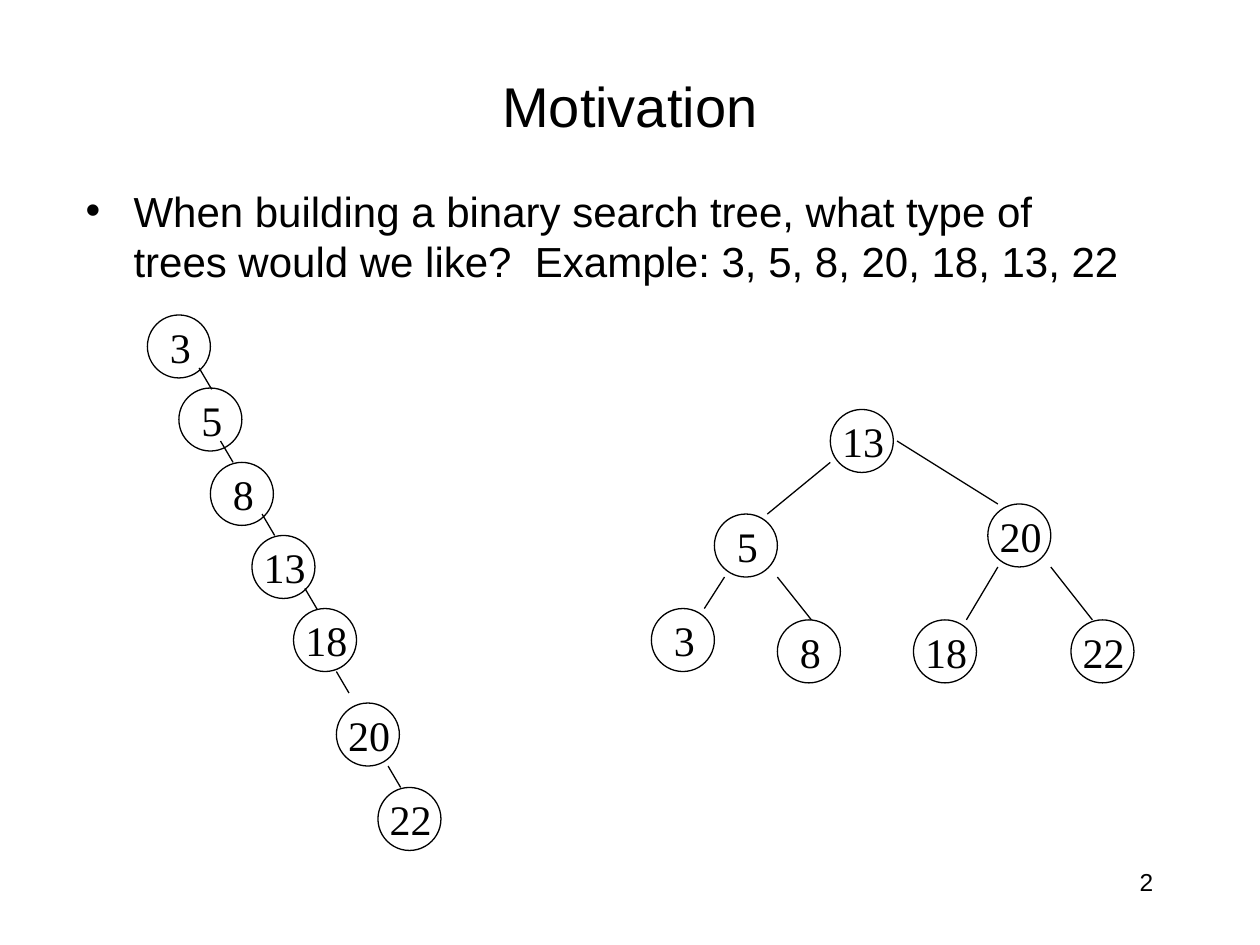
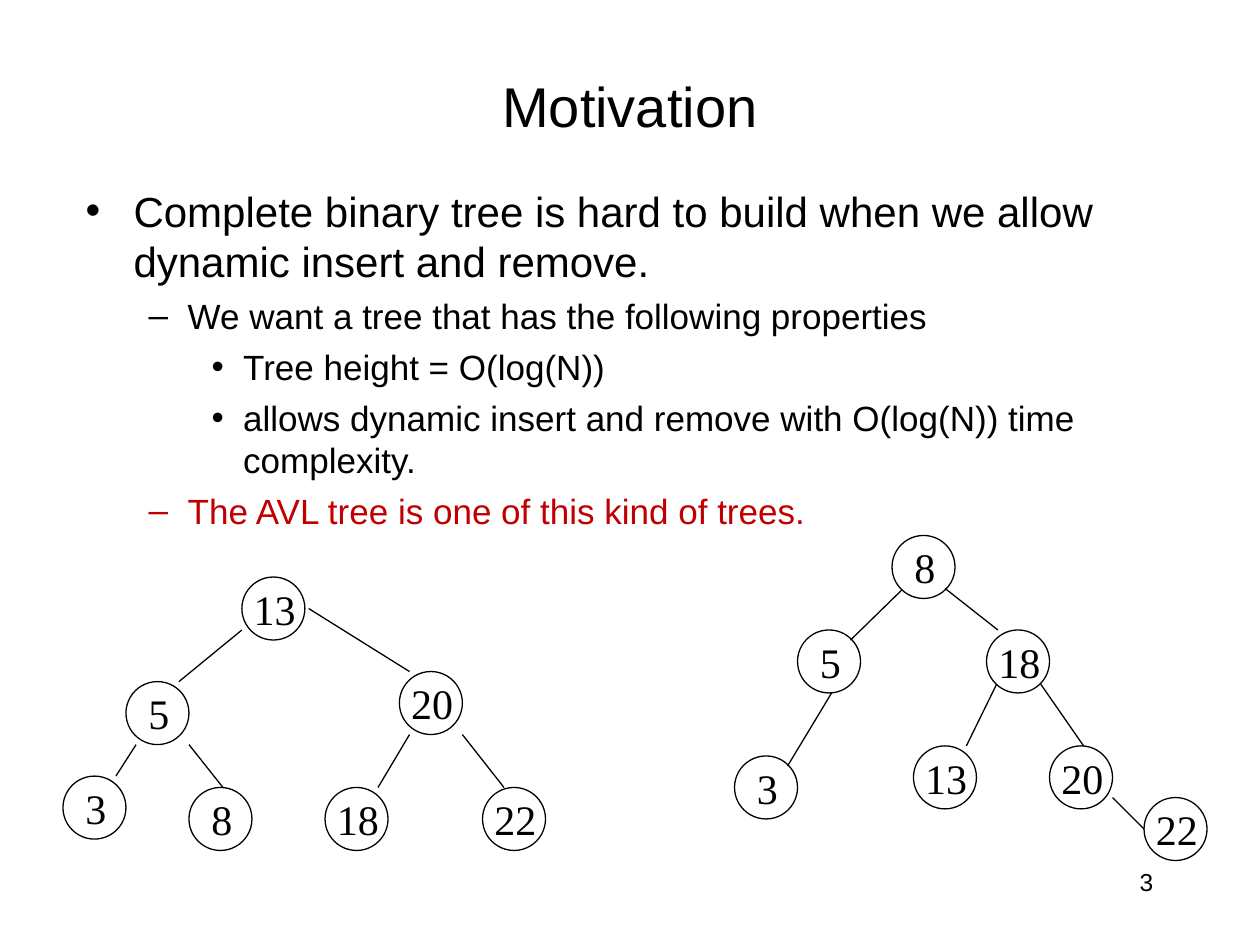
from lxml.etree import SubElement
from pptx import Presentation
from pptx.dml.color import RGBColor
from pptx.enum.shapes import MSO_CONNECTOR as Connector, MSO_SHAPE as Shape
from pptx.enum.text import MSO_ANCHOR as Anchor, MSO_AUTO_SIZE as AutoSize, PP_ALIGN as Align
from pptx.oxml.ns import qn
from pptx.util import Inches, Pt

BLACK = RGBColor(0x00, 0x00, 0x00)
RED = RGBColor(0xC0, 0x00, 0x00)

TITLE = "Motivation"
TITLE_BOX = (0.75, 0.42, 8.5, 0.83)
PAGE_BOX = (7.17, 6.83, 2.08, 0.5)
FIRST_PAGE = 2
NODE_SIZE = 0.5
LABEL_CENTER = 0.26
LABEL_WIDTHS = {1: 0.36, 2: 0.53}

LEVELS = [
    {"size": 24, "before": 6, "bullet": "•", "indent": 0.38, "hang": 0.38},
    {"size": 20, "before": 5, "bullet": "–", "indent": 0.81, "hang": 0.31},
    {"size": 20, "before": 5, "bullet": "•", "indent": 1.25, "hang": 0.25},
]

CHAIN = {
    "nodes": [(3, 1.17, 2.5), (5, 1.42, 3.08), (8, 1.67, 3.67), (13, 2, 4.25),
              (18, 2.33, 4.83), (20, 2.67, 5.58), (22, 3, 6.25)],
    "edges": [(x, y, x + 0.1, y + 0.17) for x, y in
              [(1.58, 2.92), (1.75, 3.5), (2.08, 4.08), (2.42, 4.67), (2.67, 5.33), (3.08, 6.08)]],
}
BALANCED = {
    "nodes": [(13, 1.42, 0), (5, 0.5, 0.83), (3, 0, 1.58), (8, 1, 1.67),
              (20, 2.67, 0.75), (18, 2.08, 1.67), (22, 3.33, 1.67)],
    "edges": [(1.42, 0.42, 0.92, 0.83), (1.95, 0.25, 2.75, 0.75), (0.58, 1.33, 0.42, 1.58),
              (1, 1.33, 1.27, 1.67), (2.75, 1.25, 2.5, 1.67), (3.17, 1.25, 3.5, 1.67)],
}
AVL = {
    "nodes": [(8, 7.08, 4.25), (5, 6.33, 5), (3, 5.83, 6), (18, 7.83, 5),
              (13, 7.25, 5.92), (20, 8.33, 5.92), (22, 9.08, 6.33)],
    "edges": [(7.16, 4.68, 6.75, 5.08), (6.6, 5.5, 6.25, 6.08), (7.5, 4.67, 7.92, 5),
              (7.91, 5.43, 7.67, 5.92), (8.26, 5.43, 8.6, 5.92), (8.83, 6.33, 9.08, 6.58)],
}

SLIDES = [
    {
        "body_box": (0.58, 1.42, 8.5, 1.08),
        "points": [(0, "When building a binary search tree, what type of trees would we like?"
                       "  Example: 3, 5, 8, 20, 18, 13, 22", BLACK)],
        "trees": [(CHAIN, 0, 0), (BALANCED, 5.17, 3.25)],
    },
    {
        "body_box": (0.58, 1.42, 8.5, 2.83),
        "points": [
            (0, "Complete binary tree is hard to build when we allow dynamic insert and remove.", BLACK),
            (1, "We want a tree that has the following properties", BLACK),
            (2, "Tree height = O(log(N))", BLACK),
            (2, "allows dynamic insert and remove with O(log(N)) time complexity.", BLACK),
            (1, "The AVL tree is one of this kind of trees.", RED),
        ],
        "trees": [(BALANCED, 0.5, 4.58), (AVL, 0, 0)],
    },
]


def apply(target, formats):
    for attribute, value in formats.items():
        setattr(target, attribute, value)


def place(part, box):
    apply(part, dict(zip(("left", "top", "width", "height"), map(Inches, box))))


def write(paragraph, text, size, color=BLACK, font="Arial", align=Align.LEFT):
    run = paragraph.add_run()
    run.text = text
    paragraph.alignment = align
    apply(run.font, {"size": Pt(size), "name": font})
    run.font.color.rgb = color


def add_bullet(paragraph, level, color):
    properties = paragraph._p.get_or_add_pPr()
    properties.set("marL", str(Inches(level["indent"])))
    properties.set("indent", str(-Inches(level["hang"])))
    bullet_color = SubElement(properties, qn("a:buClr"))
    SubElement(bullet_color, qn("a:srgbClr"), val=str(color))
    SubElement(properties, qn("a:buFont"), typeface="Arial")
    SubElement(properties, qn("a:buChar"), char=level["bullet"])


def fill_body(body, box, points):
    place(body, box)
    frame = body.text_frame
    apply(frame, {"auto_size": AutoSize.NONE, "vertical_anchor": Anchor.TOP})
    for index, (depth, text, color) in enumerate(points):
        point = frame.add_paragraph() if index else frame.paragraphs[0]
        level = LEVELS[depth]
        apply(point, {"level": depth, "space_before": Pt(level["before"])})
        write(point, text, level["size"], color)
        add_bullet(point, level, color)


def outline(part):
    part.line.color.rgb = BLACK
    part.line.width = Pt(0.75)


def draw_node(slide, value, x, y):
    circle = slide.shapes.add_shape(Shape.OVAL, *map(Inches, (x, y, NODE_SIZE, NODE_SIZE)))
    circle.shadow.inherit = False
    circle.fill.background()
    outline(circle)
    width = LABEL_WIDTHS[len(str(value))]
    label_box = (x + LABEL_CENTER - width / 2, y, width, NODE_SIZE)
    label = slide.shapes.add_textbox(*map(Inches, label_box)).text_frame
    apply(label, {"word_wrap": False, "auto_size": AutoSize.SHAPE_TO_FIT_TEXT})
    write(label.paragraphs[0], str(value), 24, font="Times New Roman")


def draw_tree(slide, tree, dx, dy):
    for value, x, y in tree["nodes"]:
        draw_node(slide, value, x + dx, y + dy)
    for x1, y1, x2, y2 in tree["edges"]:
        ends = (x1 + dx, y1 + dy, x2 + dx, y2 + dy)
        edge = slide.shapes.add_connector(Connector.STRAIGHT, *map(Inches, ends))
        outline(edge)
        SubElement(edge._element.spPr, qn("a:effectLst"))


def build_slide(deck, page, content):
    slide = deck.slides.add_slide(deck.slide_layouts[1])
    title, body = slide.placeholders
    place(title, TITLE_BOX)
    apply(title.text_frame, {"auto_size": AutoSize.NONE, "vertical_anchor": Anchor.MIDDLE})
    write(title.text_frame.paragraphs[0], TITLE, 32, align=Align.CENTER)
    fill_body(body, content["body_box"], content["points"])
    number = slide.shapes.add_textbox(*map(Inches, PAGE_BOX)).text_frame
    number.word_wrap = True
    write(number.paragraphs[0], str(page), 14, align=Align.RIGHT)
    for tree, dx, dy in content["trees"]:
        draw_tree(slide, tree, dx, dy)


def main():
    """Build the two slides that motivate balanced search trees."""
    deck = Presentation()
    apply(deck, {"slide_width": Inches(10), "slide_height": Inches(7.5)})
    for page, content in enumerate(SLIDES, FIRST_PAGE):
        build_slide(deck, page, content)
    deck.save("out.pptx")


if __name__ == "__main__":
    main()
